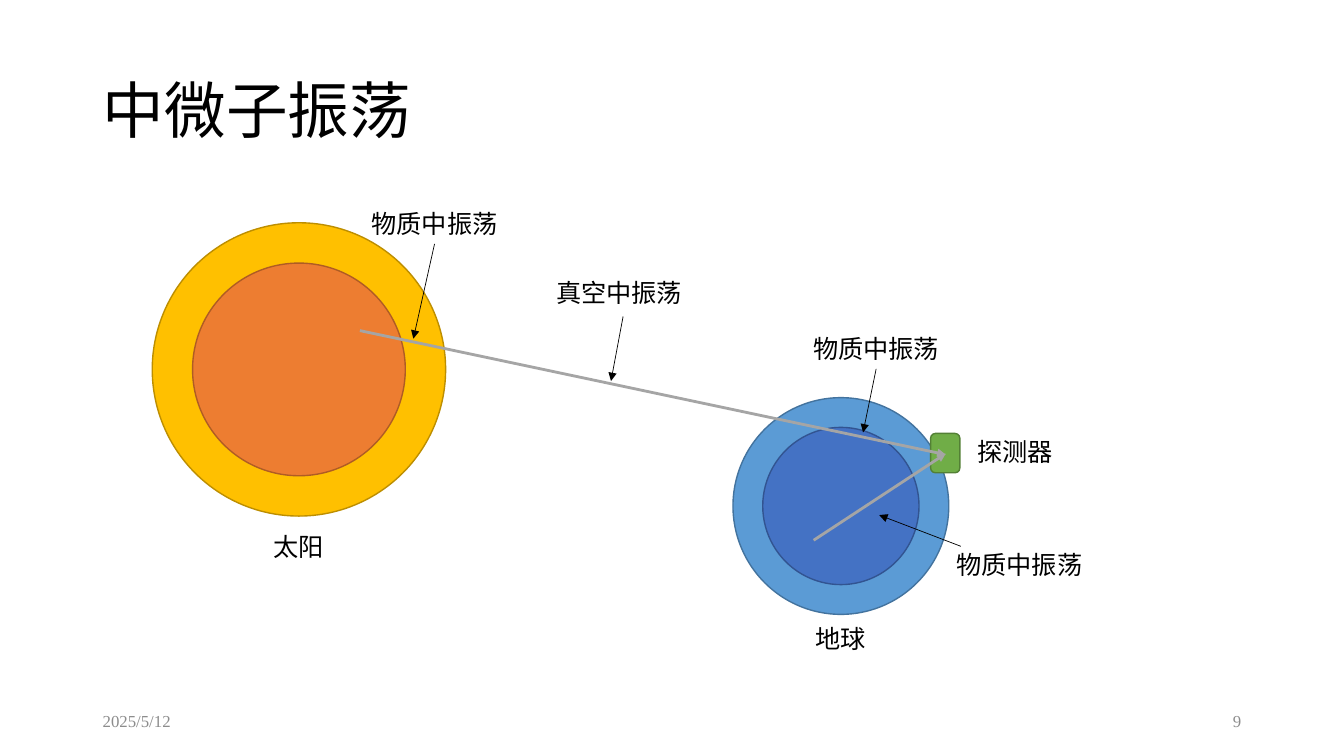
"""Build the neutrino oscillation slide: Sun, Earth, detector and two neutrino paths."""
from pptx import Presentation
from pptx.dml.color import RGBColor
from pptx.enum.shapes import MSO_CONNECTOR, MSO_SHAPE
from pptx.enum.text import MSO_ANCHOR, MSO_AUTO_SIZE, PP_ALIGN
from pptx.oxml.ns import qn
from pptx.util import Inches, Pt
from lxml import etree

OVAL, ROUNDED = MSO_SHAPE.OVAL, MSO_SHAPE.ROUNDED_RECTANGLE
STRAIGHT = MSO_CONNECTOR.STRAIGHT
LEFT, CENTER, RIGHT = PP_ALIGN.LEFT, PP_ALIGN.CENTER, PP_ALIGN.RIGHT
TOP, MIDDLE = MSO_ANCHOR.TOP, MSO_ANCHOR.MIDDLE
BOTTOM_SITE = 2

FONT = "Times New Roman"
BLACK, GREY = RGBColor(0, 0, 0), RGBColor(0x8C, 0x8C, 0x8C)
PATH_GREY = RGBColor(0xA5, 0xA5, 0xA5)
GOLD, GOLD_EDGE = RGBColor(0xFF, 0xC0, 0x00), RGBColor(0xBD, 0x8E, 0x00)
ORANGE, ORANGE_EDGE = RGBColor(0xED, 0x7D, 0x31), RGBColor(0xAF, 0x5C, 0x24)
SKY, SKY_EDGE = RGBColor(0x5B, 0x9B, 0xD5), RGBColor(0x43, 0x73, 0x9E)
BLUE, BLUE_EDGE = RGBColor(0x44, 0x72, 0xC4), RGBColor(0x32, 0x54, 0x91)
GREEN, GREEN_EDGE = RGBColor(0x70, 0xAD, 0x47), RGBColor(0x53, 0x80, 0x35)

WIDTH, HEIGHT = 13.33, 7.5
MARGIN, FOOTER_TOP, FOOTER_WIDTH = 0.92, 6.95, 3
ROW = 0.4
NAME_WIDTH, NOTE_WIDTH = 1.39, 1.74

TITLE = "中微子振荡"
FOOTERS = [
    ("2025/5/12", MARGIN, LEFT),
    ("9", WIDTH - MARGIN - FOOTER_WIDTH, RIGHT),
]
SUN, EARTH, DETECTOR = (2.965, 3.665), (8.34, 5.02), (9.375, 4.495)
BODIES = [
    (OVAL, SUN, 2.91, 2.91, GOLD, GOLD_EDGE),
    (OVAL, SUN, 2.11, 2.11, ORANGE, ORANGE_EDGE),
    (OVAL, EARTH, 2.14, 2.15, SKY, SKY_EDGE),
    (OVAL, EARTH, 1.55, 1.56, BLUE, BLUE_EDGE),
    (ROUNDED, DETECTOR, 0.29, 0.39, GREEN, GREEN_EDGE),
]
NEUTRINO_PATHS = [((3.57, 3.28), (9.38, 4.51)), ((8.07, 5.36), (9.38, 4.5))]
NAMES = [("太阳", 2.27, 5.22), ("地球", 7.64, 6.13), ("探测器", 9.37, 4.28)]
NOTES = [
    ("物质中振荡", (3.44, 2.02), (4.31, 2.42), (4.1, 3.36), True),
    ("真空中振荡", (5.27, 2.7), (6.18, 3.14), (6.06, 3.78), False),
    ("物质中振荡", (7.82, 3.26), (8.69, 3.66), (8.56, 4.29), True),
    ("物质中振荡", (9.24, 5.4), (9.53, 5.42), (8.72, 5.11), False),
]


def write(tf, text, size, color, align, anchor):
    """Fill a text frame with one formatted paragraph."""
    tf.text = text
    tf.word_wrap = True
    tf.auto_size = MSO_AUTO_SIZE.NONE
    tf.vertical_anchor = anchor
    p = tf.paragraphs[0]
    p.alignment = align
    font = p.runs[0].font
    font.name, font.size, font.color.rgb = FONT, Pt(size), color
    return p


def add_text(s, text, left, top, width, size=18, color=BLACK, align=CENTER, anchor=TOP):
    """Add a one-row text box."""
    box = s.shapes.add_textbox(Inches(left), Inches(top), Inches(width), Inches(ROW))
    write(box.text_frame, text, size, color, align, anchor)
    return box


def add_body(s, kind, center, width, height, fill, edge):
    """Add a filled shape around its centre."""
    left, top = center[0] - width / 2, center[1] - height / 2
    sp = s.shapes.add_shape(kind, Inches(left), Inches(top), Inches(width), Inches(height))
    sp.shadow.inherit = False
    sp.fill.solid()
    sp.fill.fore_color.rgb = fill
    sp.line.color.rgb = edge
    sp.line.width = Pt(1)


def add_arrow(s, start, end, color, width):
    """Add a straight arrow with its head at the end."""
    arrow = s.shapes.add_connector(STRAIGHT, *(Inches(v) for v in start + end))
    arrow.line.color.rgb = color
    arrow.line.width = Pt(width)
    head = etree.SubElement(arrow.line._get_or_add_ln(), qn("a:tailEnd"))
    head.set("type", "triangle")
    etree.SubElement(arrow._element.spPr, qn("a:effectLst"))
    return arrow


def main():
    """Lay out the slide and save it."""
    prs = Presentation()
    prs.slide_width, prs.slide_height = Inches(WIDTH), Inches(HEIGHT)
    s = prs.slides.add_slide(prs.slide_layouts[5])

    title = s.shapes.title
    title.left, title.top = Inches(MARGIN), Inches(0.4)
    title.width, title.height = Inches(WIDTH - 2 * MARGIN), Inches(1.45)
    write(title.text_frame, TITLE, 44, BLACK, LEFT, MIDDLE).line_spacing = 0.9

    for text, left, align in FOOTERS:
        add_text(s, text, left, FOOTER_TOP, FOOTER_WIDTH, 12, GREY, align, MIDDLE)
    for body in BODIES:
        add_body(s, *body)
    for start, end in NEUTRINO_PATHS:
        add_arrow(s, start, end, PATH_GREY, 2)
    for text, left, top in NAMES:
        add_text(s, text, left, top, NAME_WIDTH)
    for text, corner, start, end, joined in NOTES:
        note = add_text(s, text, *corner, NOTE_WIDTH)
        arrow = add_arrow(s, start, end, BLACK, 0.5)
        if joined:
            arrow.begin_connect(note, BOTTOM_SITE)

    prs.save("out.pptx")


if __name__ == "__main__":
    main()
